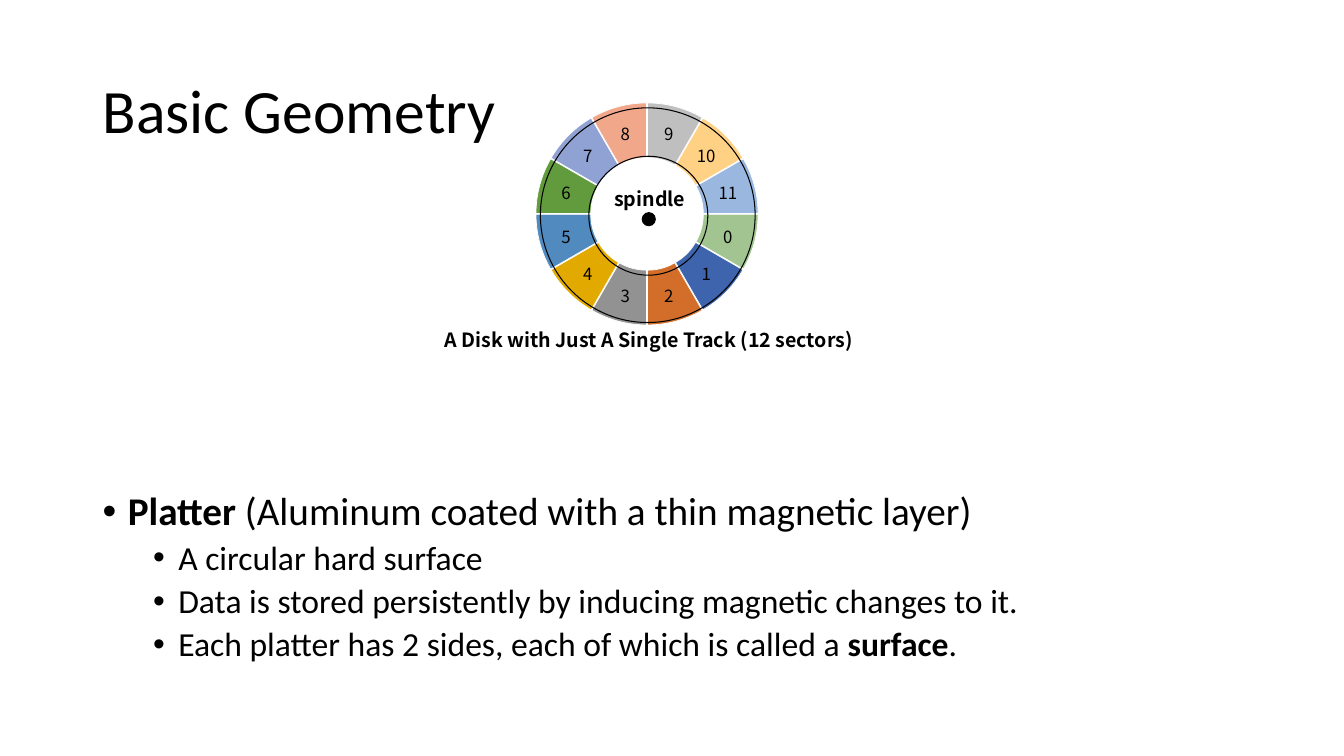
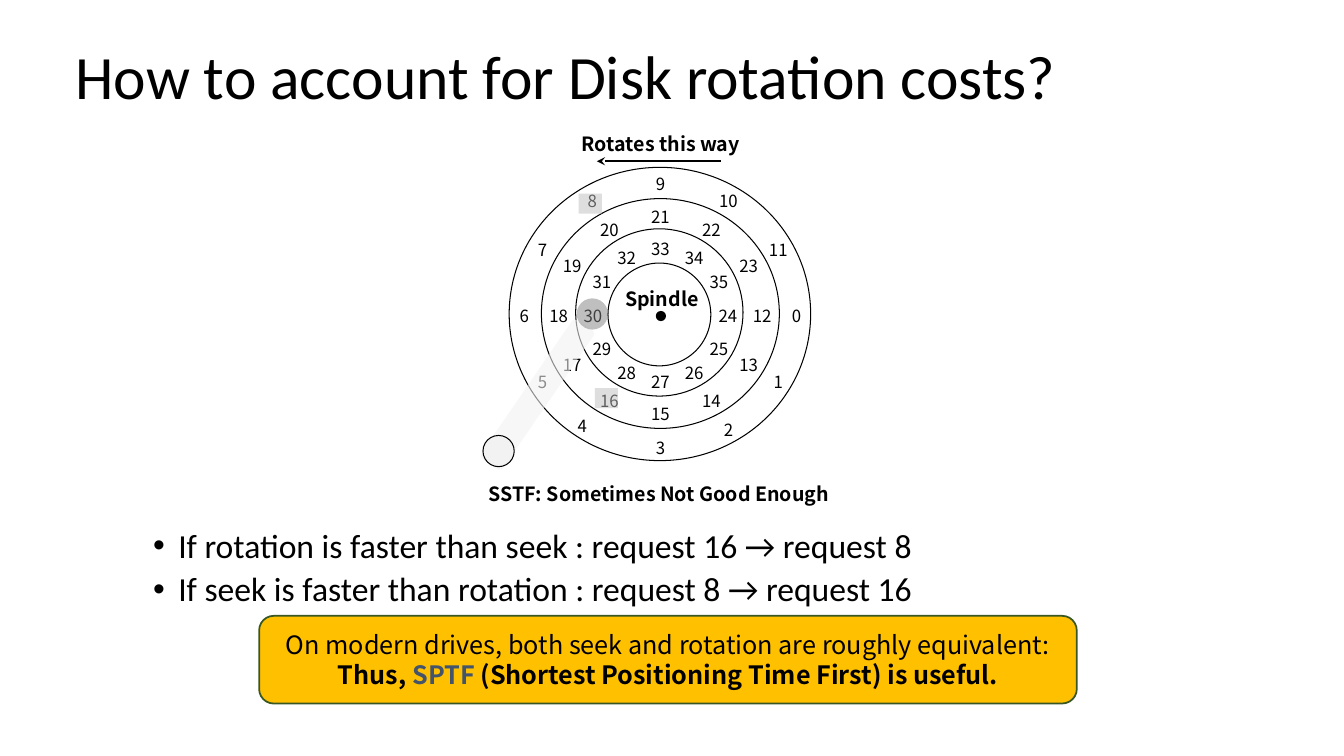
import math
from dataclasses import dataclass
from typing import Any, Optional

import lxml.etree
import pptx
import pptx.chart.data
import pptx.dml.color
import pptx.enum.chart
import pptx.enum.shapes
import pptx.enum.text
import pptx.oxml.ns
import pptx.util

Inches = pptx.util.Inches
Pt = pptx.util.Pt
RGBColor = pptx.dml.color.RGBColor
Shape = pptx.enum.shapes.MSO_SHAPE
Align = pptx.enum.text.PP_ALIGN
Anchor = pptx.enum.text.MSO_ANCHOR
qn = pptx.oxml.ns.qn

BLACK = RGBColor(0x00, 0x00, 0x00)
WHITE = RGBColor(0xFF, 0xFF, 0xFF)
PALE_GRAY = RGBColor(0xF2, 0xF2, 0xF2)
LIGHT_GRAY = RGBColor(0xBF, 0xBF, 0xBF)
MID_GRAY = RGBColor(0x80, 0x80, 0x80)
GOLD = RGBColor(0xFF, 0xC0, 0x00)
DARK_GREEN = RGBColor(0x38, 0x57, 0x23)
SLATE = RGBColor(0x44, 0x54, 0x6A)
SECTOR_COLORS = [
    RGBColor.from_string(code)
    for code in (
        "3D64AD", "D26E2A", "929292", "E2AA00", "508ABE", "629A3E",
        "90A2D4", "F1A78A", "BFBFBF", "FFD184", "9AB7E0", "A1C490",
    )
]

BODY_FONT = "Calibri"
LABEL_FONT = "Noto Sans CJK KR"
TITLE_FORMAT = {"name": BODY_FONT, "size": Pt(44)}
CAPTION_FORMAT = {"name": LABEL_FONT, "size": Pt(14), "bold": True}
SECTOR_FORMAT = {"name": LABEL_FONT, "size": Pt(12)}
CALLOUT_FORMAT = {"name": LABEL_FONT, "size": Pt(18)}

SECTORS = 12
DISK_CENTER = (6.55, 3.13)


@dataclass(frozen=True)
class Box:
    left: float
    top: float
    width: float
    height: float

    def lengths(self) -> tuple:
        return tuple(Inches(v) for v in (self.left, self.top, self.width, self.height))


@dataclass(frozen=True)
class Run:
    text: str
    bold: bool = False
    color: RGBColor = BLACK


@dataclass(frozen=True)
class Bullet:
    level: int
    runs: tuple


@dataclass(frozen=True)
class LevelStyle:
    size: int
    space_before: int
    indent: float


@dataclass(frozen=True)
class Figure:
    kind: Any
    box: Box
    fill: Optional[RGBColor] = None
    opacity: int = 100
    line: Optional[RGBColor] = None
    line_width: float = 0.75
    rotation: float = 0


@dataclass(frozen=True)
class Track:
    """Horizontal and vertical radius of a ring of sector numbers."""
    radius_x: float
    radius_y: float


LEVELS = (LevelStyle(28, 10, 0.25), LevelStyle(24, 5, 0.75))
TRACKS = (Track(1.35, 1.31), Track(1.01, 0.98), Track(0.67, 0.66))
NUDGES = {4: (-0.1, -0.04)}


def ellipse(left: float, top: float, width: float, height: float,
            fill: Optional[RGBColor] = None) -> Figure:
    return Figure(Shape.OVAL, Box(left, top, width, height), fill, line=BLACK)


def set_attributes(target: Any, values: dict) -> None:
    for name, value in values.items():
        setattr(target, name, value)


def add_run(paragraph: Any, run: Run, font_format: dict) -> None:
    text_run = paragraph.add_run()
    text_run.text = run.text
    set_attributes(text_run.font, {"bold": run.bold, **font_format})
    text_run.font.color.rgb = run.color


def add_text(shapes: Any, box: Box, text: str, font_format: dict,
             alignment: Any = Align.CENTER, **frame_format: Any) -> Any:
    frame = shapes.add_textbox(*box.lengths()).text_frame
    set_attributes(frame, {"word_wrap": True, **frame_format})
    paragraph = frame.paragraphs[0]
    paragraph.alignment = alignment
    add_run(paragraph, Run(text), font_format)
    return paragraph


def add_title(slide: Any, left: float, top: float, text: str) -> None:
    paragraph = add_text(slide.shapes, Box(left, top, 11.5, 1.45), text, TITLE_FORMAT,
                         Align.LEFT, vertical_anchor=Anchor.MIDDLE)
    paragraph.line_spacing = 0.9


def add_bullets(slide: Any, box: Box, bullets: tuple) -> None:
    frame = slide.shapes.add_textbox(*box.lengths()).text_frame
    frame.word_wrap = True
    for index, bullet in enumerate(bullets):
        style = LEVELS[bullet.level]
        paragraph = frame.add_paragraph() if index else frame.paragraphs[0]
        set_attributes(paragraph, {"level": bullet.level, "line_spacing": 0.9,
                                   "space_before": Pt(style.space_before)})
        properties = paragraph._p.get_or_add_pPr()
        properties.set("marL", str(Inches(style.indent)))
        properties.set("indent", str(Inches(-0.25)))
        lxml.etree.SubElement(properties, qn("a:buFont"), typeface="Arial")
        lxml.etree.SubElement(properties, qn("a:buChar"), char="•")
        for run in bullet.runs:
            add_run(paragraph, run, {"name": BODY_FONT, "size": Pt(style.size)})


def add_figure(shapes: Any, figure: Figure) -> Any:
    shape = shapes.add_shape(figure.kind, *figure.box.lengths())
    shape.shadow.inherit = False
    shape.rotation = figure.rotation
    if figure.fill is None:
        shape.fill.background()
    else:
        shape.fill.solid()
        shape.fill.fore_color.rgb = figure.fill
        if figure.opacity < 100:
            color = shape.element.spPr.find(qn("a:solidFill"))[0]
            lxml.etree.SubElement(color, qn("a:alpha"), val=str(figure.opacity * 1000))
    if figure.line is None:
        shape.line.fill.background()
    else:
        shape.line.color.rgb = figure.line
        shape.line.width = Pt(figure.line_width)
    return shape


def add_arrow(shapes: Any, start: tuple, end: tuple) -> None:
    points = (Inches(v) for v in (*start, *end))
    connector = shapes.add_connector(pptx.enum.shapes.MSO_CONNECTOR.STRAIGHT, *points)
    connector.line.color.rgb = BLACK
    connector.line.width = Pt(1.5)
    lxml.etree.SubElement(connector.line._get_or_add_ln(), qn("a:tailEnd"), type="stealth")
    lxml.etree.SubElement(connector._element.spPr, qn("a:effectLst"))


def place_plot(chart: Any, box: Box) -> None:
    """Fix the inner plot area, in fractions of the chart."""
    plot_area = chart._chartSpace.chart.plotArea
    for old_layout in plot_area.findall(qn("c:layout")):
        plot_area.remove(old_layout)
    layout = lxml.etree.Element(qn("c:layout"))
    plot_area.insert(0, layout)
    manual = lxml.etree.SubElement(layout, qn("c:manualLayout"))
    settings = {"layoutTarget": "inner", "xMode": "edge", "yMode": "edge",
                "x": box.left, "y": box.top, "w": box.width, "h": box.height}
    for name, value in settings.items():
        lxml.etree.SubElement(manual, qn(f"c:{name}"), val=str(value))


def add_sector_chart(slide: Any) -> None:
    data = pptx.chart.data.CategoryChartData()
    data.categories = [str(number) for number in range(1, SECTORS + 1)]
    data.add_series("Series 1", [8] * SECTORS)
    chart = slide.shapes.add_chart(pptx.enum.chart.XL_CHART_TYPE.DOUGHNUT,
                                   *Box(4.71, 0.77, 3.35, 2.79).lengths(), data).chart
    set_attributes(chart, {"has_legend": False, "has_title": False})
    set_attributes(chart.font, SECTOR_FORMAT)
    chart.font.color.rgb = BLACK
    place_plot(chart, Box(0.18, 0.09, 0.66, 0.79))

    plot = chart.plots[0]
    doughnut = chart._chartSpace.chart.plotArea.find(qn("c:doughnutChart"))
    doughnut.find(qn("c:firstSliceAng")).set("val", "120")
    doughnut.find(qn("c:holeSize")).set("val", "50")
    series = plot.series[0]
    explosion = lxml.etree.Element(qn("c:explosion"), val="3")
    series._element.get_or_add_spPr().addnext(explosion)
    for index, color in enumerate(SECTOR_COLORS):
        point_format = series.points[index].format
        point_format.fill.solid()
        point_format.fill.fore_color.rgb = color
        point_format.line.color.rgb = WHITE
        point_format.line.width = Pt(0.5)
    set_attributes(series.data_labels, {"show_category_name": True, "show_value": False,
                                        "show_percentage": False})
    last_label = series.points[SECTORS - 1].data_label.text_frame
    add_run(last_label.paragraphs[0], Run("0"), SECTOR_FORMAT)


def build_geometry_slide(slide: Any) -> None:
    add_title(slide, 0.92, 0.4, "Basic Geometry")
    add_bullets(slide, Box(0.92, 4.83, 11.5, 1.93), (
        Bullet(0, (Run("Platter ", True),
                   Run("(Aluminum coated with a thin magnetic layer)"))),
        Bullet(1, (Run("A circular hard surface"),)),
        Bullet(1, (Run("Data is stored persistently by inducing magnetic changes to it."),)),
        Bullet(1, (Run("Each platter has 2 sides, each of which is called a "),
                   Run("surface", True), Run("."))),
    ))
    add_sector_chart(slide)
    for figure in (ellipse(5.36, 1.07, 2.13, 2.13), ellipse(5.84, 1.55, 1.18, 1.18),
                   ellipse(6.37, 2.11, 0.13, 0.13, BLACK)):
        add_figure(slide.shapes, figure)
    add_text(slide.shapes, Box(5.96, 1.81, 0.97, 0.34), "spindle", CAPTION_FORMAT)
    add_text(slide.shapes, Box(4.15, 3.2, 4.57, 0.34),
             "A Disk with Just A Single Track (12 sectors)", CAPTION_FORMAT)


def add_disk(slide: Any) -> None:
    shapes = slide.shapes.add_group_shape().shapes
    for figure in (ellipse(6.03, 2.61, 1.02, 1.02), ellipse(5.71, 2.27, 1.66, 1.66),
                   ellipse(5.37, 1.97, 2.36, 2.28), ellipse(5.05, 1.66, 2.99, 2.91),
                   ellipse(6.51, 3.09, 0.09, 0.09, BLACK)):
        add_figure(shapes, figure)
    width, height = 0.39, 0.3
    for number in range(SECTORS * len(TRACKS)):
        track = TRACKS[number // SECTORS]
        angle = math.radians(number % SECTORS * 360 / SECTORS)
        nudge_x, nudge_y = NUDGES.get(number, (0, 0))
        center_x = DISK_CENTER[0] + track.radius_x * math.cos(angle) + nudge_x
        center_y = DISK_CENTER[1] + track.radius_y * math.sin(angle) + nudge_y
        add_text(shapes, Box(center_x - width / 2, center_y - height / 2, width, height),
                 str(number), SECTOR_FORMAT, margin_left=0, margin_right=0)
    add_text(shapes, Box(6.08, 2.8, 0.97, 0.34), "Spindle", CAPTION_FORMAT)


def add_callout(slide: Any) -> None:
    figure = Figure(Shape.ROUNDED_RECTANGLE, Box(2.57, 6.11, 8.11, 0.87), GOLD,
                    line=DARK_GREEN, line_width=1.25)
    frame = add_figure(slide.shapes, figure).text_frame
    set_attributes(frame, {"word_wrap": True, "vertical_anchor": Anchor.MIDDLE,
                           "margin_left": Inches(0.12), "margin_right": Inches(0.12)})
    lines = (
        (Run("On modern drives, both seek and rotation are roughly equivalent:"),),
        (Run("Thus, ", True), Run("SPTF", True, SLATE),
         Run(" (Shortest Positioning Time First) is useful.", True)),
    )
    for index, runs in enumerate(lines):
        paragraph = frame.add_paragraph() if index else frame.paragraphs[0]
        paragraph.alignment = Align.CENTER
        for run in runs:
            add_run(paragraph, run, CALLOUT_FORMAT)


def build_rotation_slide(slide: Any) -> None:
    add_title(slide, 0.65, 0.06, "How to account for Disk rotation costs?")
    add_bullets(slide, Box(0.92, 5.2, 11.5, 0.9), (
        Bullet(1, (Run("If rotation is faster than seek : request 16 → request 8"),)),
        Bullet(1, (Run("If seek is faster than rotation : request 8 → request 16"),)),
    ))
    add_disk(slide)
    add_text(slide.shapes, Box(5.57, 1.26, 1.97, 0.34), "Rotates this way", CAPTION_FORMAT)
    add_arrow(slide.shapes, (7.15, 1.6), (5.92, 1.6))
    arm = Figure(Shape.ROUNDED_RECTANGLE, Box(5.2, 3.08, 0.26, 1.67), PALE_GRAY, 58,
                 rotation=34.4)
    head = Figure(Shape.OVAL, Box(5.72, 2.96, 0.31, 0.31), MID_GRAY, 50)
    pivot = ellipse(4.79, 4.32, 0.31, 0.31, PALE_GRAY)
    requests = [Figure(Shape.RECTANGLE, Box(left, top, 0.23, 0.2), LIGHT_GRAY, 50)
                for left, top in ((5.9, 3.85), (5.74, 1.92))]
    for figure in (arm, head, pivot, *requests):
        add_figure(slide.shapes, figure)
    add_text(slide.shapes, Box(4.44, 4.73, 4.19, 0.34),
             "SSTF: Sometimes Not Good Enough", CAPTION_FORMAT)
    add_callout(slide)


def main() -> None:
    presentation = pptx.Presentation()
    set_attributes(presentation, {"slide_width": Inches(13.33), "slide_height": Inches(7.5)})
    for build in (build_geometry_slide, build_rotation_slide):
        build(presentation.slides.add_slide(presentation.slide_layouts[6]))
    presentation.save("out.pptx")


if __name__ == "__main__":
    main()
